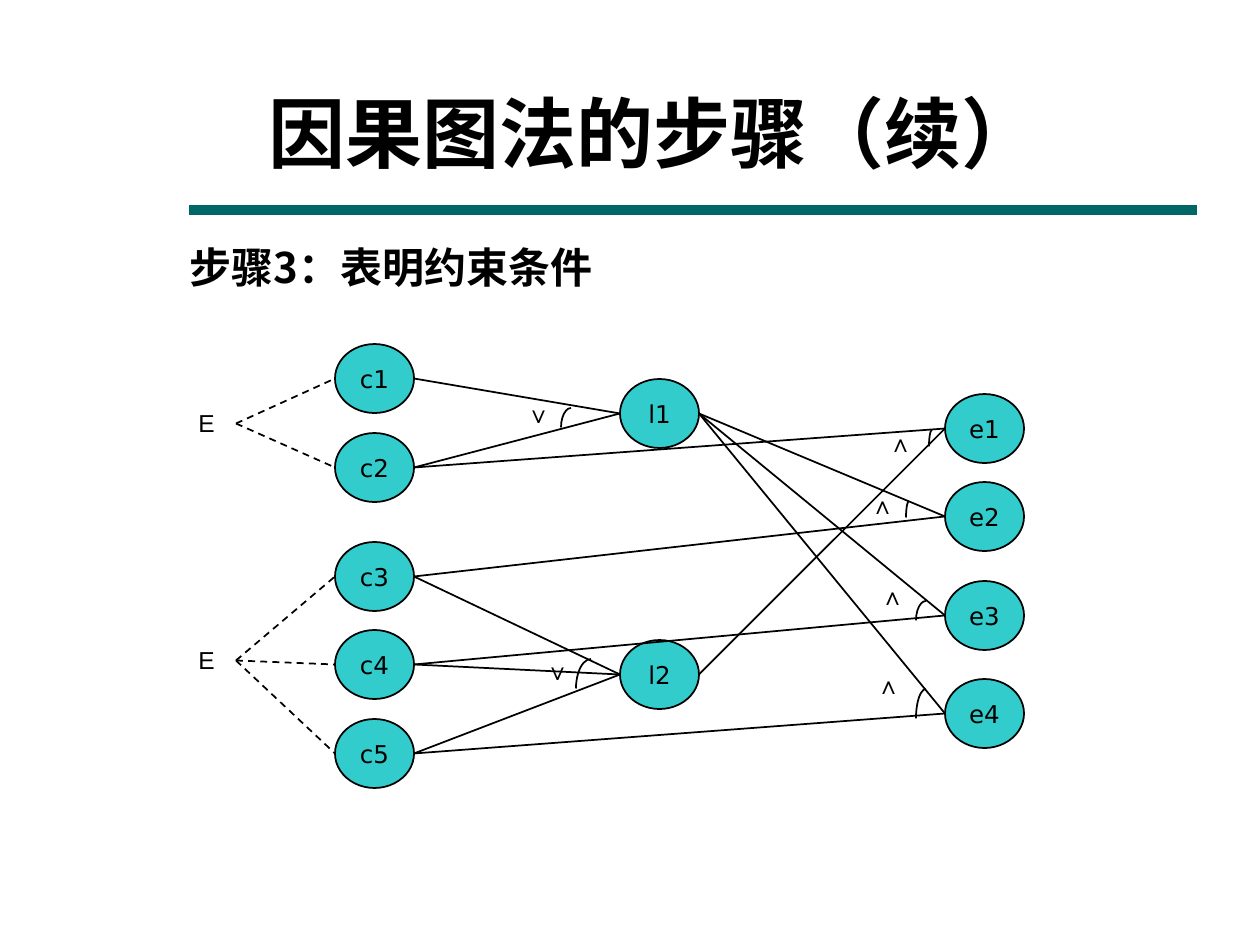
from lxml import etree
from pptx import Presentation
from pptx import util as u
from pptx.dml.color import RGBColor
from pptx.enum import dml, shapes, text
from pptx.oxml.ns import qn

PX = u.Inches(1) / 126
BLACK = RGBColor(0x00, 0x00, 0x00)
TEAL = RGBColor(0x00, 0x66, 0x66)
TURQUOISE = RGBColor(0x33, 0xCC, 0xCC)

NODE_WIDTH, NODE_HEIGHT = 79, 69
NODE_COLUMNS = {
    "c": (149, [0, 89, 198, 286, 375]),
    "l": (434, [35, 296]),
    "e": (759, [50, 138, 237, 335]),
}
LINKS = [
    ("c1", "l1"), ("c2", "l1"), ("c3", "l2"), ("c4", "l2"), ("c5", "l2"),
    ("l1", "e2"), ("l1", "e3"), ("l1", "e4"), ("c3", "e2"), ("c4", "e3"),
    ("c5", "e4"), ("l2", "e1"), ("c2", "e1"),
]
OPERATORS = [
    ("∧", 690, 78), ("∧", 672, 140), ("∧", 682, 231), ("∧", 678, 320),
    ("∨", 328, 49), ("∨", 347, 306),
]
ARCS = [
    (375, 64, 20, 39), (390, 315, 30, 59), (743, 86, 6, 33),
    (730, 257, 20, 39), (730, 345, 20, 59), (720, 157, 6, 33),
]
LABEL_WIDTH, LABEL_HEIGHT = 49, 43
CONSTRAINTS = [(58, ["c1", "c2"]), (295, ["c3", "c4", "c5"])]


def emu(*lengths):
    """Turn px lengths into EMU."""
    return [u.Emu(round(length * PX)) for length in lengths]


def style_paragraph(paragraph, font_name, size, alignment, bold=False):
    """Set the alignment and the Latin and East Asian font of a paragraph."""
    paragraph.alignment = alignment
    font = paragraph.font
    font.size, font.bold = u.Pt(size), bold
    font.color.rgb = BLACK
    font.name = font_name
    properties = paragraph._p.pPr.find(qn("a:defRPr"))
    etree.SubElement(properties, qn("a:ea"), typeface=font_name)


def fill_placeholder(placeholder, box, wording, font_name, size, alignment):
    """Move a placeholder to its box and write one plain bold paragraph."""
    placeholder.left, placeholder.top, placeholder.width, placeholder.height = emu(*box)
    frame = placeholder.text_frame
    frame.text = wording
    frame.auto_size = text.MSO_AUTO_SIZE.NONE
    frame.vertical_anchor = text.MSO_ANCHOR.TOP
    paragraph = frame.paragraphs[0]
    paragraph.space_before = u.Pt(0)
    properties = paragraph._p.get_or_add_pPr()
    properties.set("marL", "0")
    properties.set("indent", "0")
    etree.SubElement(properties, qn("a:buNone"))
    style_paragraph(paragraph, font_name, size, alignment, bold=True)


def add_line(slide, start, end, color=BLACK, width=1, dashed=False):
    """Draw a straight line between two points."""
    line = slide.shapes.add_connector(
        shapes.MSO_CONNECTOR.STRAIGHT, *emu(*start, *end))
    line.line.color.rgb = color
    line.line.width = u.Pt(width)
    if dashed:
        line.line.dash_style = dml.MSO_LINE.DASH
    etree.SubElement(line._element.spPr, qn("a:effectLst"))


def add_outlined(slide, kind, box):
    """Add an unfilled preset shape with a thin black outline."""
    shape = slide.shapes.add_shape(kind, *emu(*box))
    shape.shadow.inherit = False
    shape.fill.background()
    shape.line.color.rgb = BLACK
    shape.line.width = u.Pt(1)
    return shape


def add_node(slide, box, name):
    """Add a named ellipse of the graph."""
    node = add_outlined(slide, shapes.MSO_SHAPE.OVAL, box)
    node.fill.solid()
    node.fill.fore_color.rgb = TURQUOISE
    frame = node.text_frame
    frame.text = name
    frame.word_wrap = False
    frame.vertical_anchor = text.MSO_ANCHOR.MIDDLE
    style_paragraph(frame.paragraphs[0], "DejaVu Sans", 14, text.PP_ALIGN.CENTER)


def add_label(slide, left, top, wording):
    """Add a one-symbol label."""
    label = slide.shapes.add_textbox(*emu(left, top, LABEL_WIDTH, LABEL_HEIGHT))
    frame = label.text_frame
    frame.word_wrap = True
    frame.text = wording
    style_paragraph(frame.paragraphs[0], "Arial", 14, text.PP_ALIGN.LEFT)


def add_heading(slide, box):
    """Place the title, its rule and the step line in the box."""
    left, top, width, height = box
    fill_placeholder(slide.shapes.title, (left, top, width, 106),
                     "因果图法的步骤（续）", "Noto Sans CJK JP", 44,
                     text.PP_ALIGN.CENTER)
    add_line(slide, (left + 81, top + 131), (left + 1089, top + 131), TEAL, 6)
    fill_placeholder(slide.placeholders[1],
                     (left + 69, top + 156, width - 69, height - 156),
                     "步骤3：表明约束条件", "Noto Sans CJK SC", 24,
                     text.PP_ALIGN.LEFT)


def add_graph(slide, left, top):
    """Draw the cause-effect graph from its top left corner."""
    inlets, outlets = {}, {}
    for prefix, (column, rows) in NODE_COLUMNS.items():
        for number, row in enumerate(rows, 1):
            name = f"{prefix}{number}"
            x, y = left + column, top + row
            add_node(slide, (x, y, NODE_WIDTH, NODE_HEIGHT), name)
            inlets[name] = (x, y + NODE_HEIGHT / 2)
            outlets[name] = (x + NODE_WIDTH, y + NODE_HEIGHT / 2)
    for source, target in LINKS:
        add_line(slide, outlets[source], inlets[target])
    for x, y, width, height in ARCS:
        arc = add_outlined(slide, shapes.MSO_SHAPE.ARC,
                           (left + x, top + y, width, height))
        arc.adjustments[0], arc.adjustments[1] = 108, 162
    for symbol, x, y in OPERATORS:
        add_label(slide, left + x, top + y, symbol)
    for y, causes in CONSTRAINTS:
        add_label(slide, left, top + y, "E")
        apex = (left + LABEL_WIDTH + 1, top + y + LABEL_HEIGHT / 2)
        for cause in causes:
            add_line(slide, apex, inlets[cause], dashed=True)


def main():
    """Build and save the slide."""
    presentation = Presentation()
    presentation.slide_width, presentation.slide_height = emu(1260, 945)
    slide = presentation.slides.add_slide(presentation.slide_layouts[1])
    add_heading(slide, (108, 79, 1092, 333))
    add_graph(slide, 186, 344)
    presentation.save("out.pptx")


if __name__ == "__main__":
    main()
